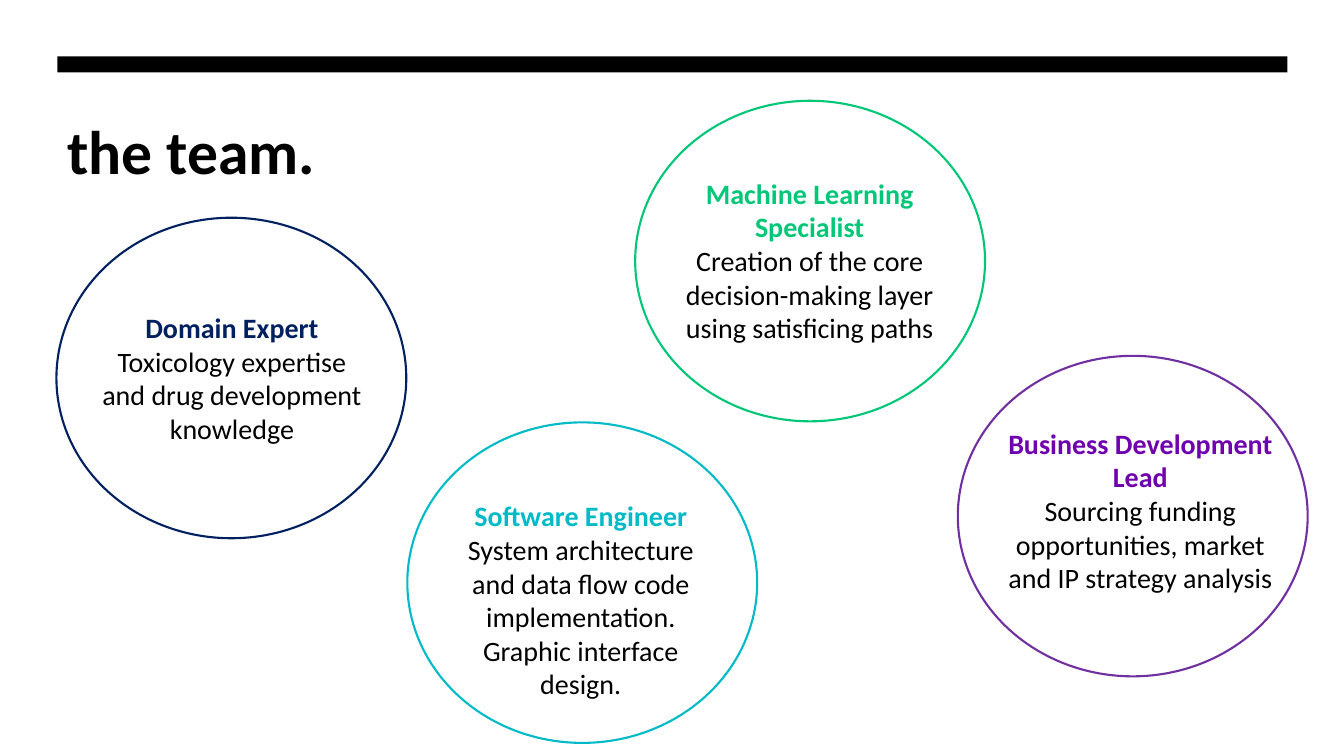
from pptx import Presentation
from pptx.dml.color import RGBColor
from pptx.enum.shapes import MSO_SHAPE
from pptx.enum.text import MSO_ANCHOR, MSO_AUTO_SIZE, PP_ALIGN
from pptx.util import Inches, Pt


def color(code):
    return RGBColor.from_string(code)


def write(para, text, size, code, bold):
    run = para.add_run()
    run.text = text
    run.font.name = "Calibri"
    run.font.size = Pt(size)
    run.font.bold = bold
    run.font.color.rgb = color(code)


deck = Presentation()
deck.slide_width = Inches(13.33)
deck.slide_height = Inches(7.5)
slide = deck.slides.add_slide(deck.slide_layouts[5])
shapes = slide.shapes

bar = shapes.add_shape(
    MSO_SHAPE.RECTANGLE, Inches(0.57), Inches(0.56), Inches(12.2), Inches(0.16))
bar.shadow.inherit = False
bar.fill.solid()
bar.fill.fore_color.rgb = color("000000")
bar.line.fill.background()

title = shapes.title
title.left, title.top = Inches(0.57), Inches(1.07)
title.width, title.height = Inches(12.2), Inches(1.6)
frame = title.text_frame
frame.auto_size = MSO_AUTO_SIZE.NONE
frame.vertical_anchor = MSO_ANCHOR.TOP
para = frame.paragraphs[0]
para.alignment = PP_ALIGN.LEFT
write(para, "the team.", 44, "000000", True)

rings = [
    (9.5, 3.53, "7030A0"),
    (0.56, 2.16, "002060"),
    (6.3, 1, "00C777"),
    (4.04, 4.19, "00BAC8"),
]
for left, top, code in rings:
    ring = shapes.add_shape(
        MSO_SHAPE.OVAL, Inches(left), Inches(top), Inches(3.47), Inches(3.18))
    ring.shadow.inherit = False
    ring.fill.solid()
    ring.fill.fore_color.rgb = color("FFFFFF")
    ring.line.color.rgb = color(code)
    ring.line.width = Pt(1.5)

roles = [
    (0.84, 3.03, 1.45, "002060", "Domain Expert",
     "Toxicology expertise and drug development knowledge"),
    (4.3, 4.9, 2.12, "00BAC8", "Software Engineer",
     "System architecture and data flow code implementation. "
     "Graphic interface design."),
    (6.57, 1.7, 1.78, "00C777", "Machine Learning Specialist",
     "Creation of the core decision-making layer using satisficing paths"),
    (9.85, 4.18, 2.12, "6E00AD", "Business Development Lead",
     "Sourcing funding opportunities, market and IP strategy analysis"),
]
for left, top, height, code, role, task in roles:
    box = shapes.add_textbox(
        Inches(left), Inches(top), Inches(2.92), Inches(height))
    frame = box.text_frame
    frame.word_wrap = True
    head = frame.paragraphs[0]
    body = frame.add_paragraph()
    head.alignment = body.alignment = PP_ALIGN.CENTER
    write(head, role, 20, code, True)
    write(body, task, 20, "000000", False)

deck.save("out.pptx")
